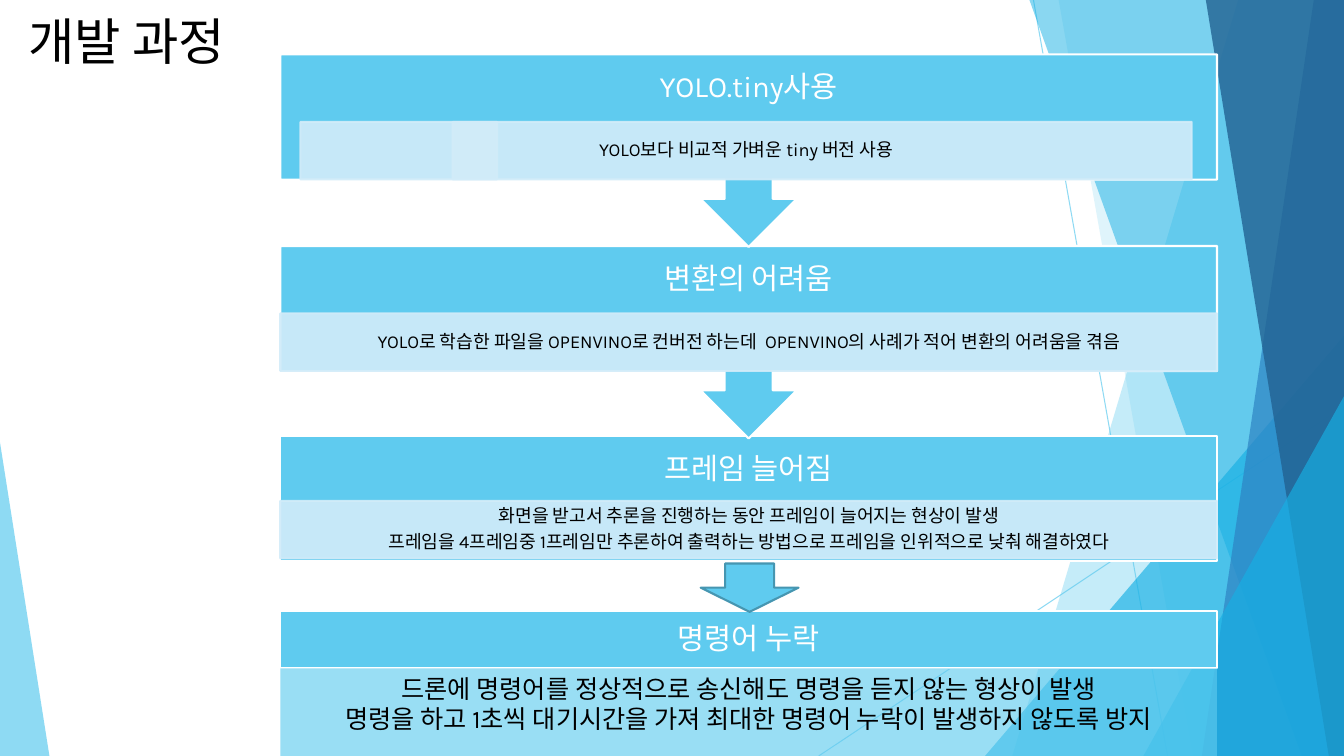
from lxml import etree
from pptx import Presentation
from pptx.dml.color import RGBColor
from pptx.enum.shapes import MSO_CONNECTOR, MSO_SHAPE as SHAPE
from pptx.enum.text import MSO_ANCHOR as ANCHOR, PP_ALIGN as ALIGN
from pptx.oxml.ns import qn
from pptx.util import Inches, Pt

COLORS = {
    "sky": "5FCBEF", "cyan": "17B0E4", "blue": "2E83C3", "navy": "226292",
    "pale": "D2ECF9", "edge": "4696B1", "white": "FFFFFF", "black": "000000",
}
W, H = 13.33, 7.5
FLOW_X, FLOW_W = 2.78, 9.29
HEAD_H, DETAIL_H = 0.67, 0.57

STEPS = [  # shape, top, height, heading, detail top, detail side inset, detail lines
    (SHAPE.UP_ARROW_CALLOUT, 0.54, 1.91, "YOLO.tiny사용", 1.21, 0.2,
     ["YOLO보다 비교적 가벼운 tiny 버전 사용"]),
    (SHAPE.UP_ARROW_CALLOUT, 2.44, 1.91, "변환의 어려움", 3.11, 0,
     ["YOLO로 학습한 파일을 OPENVINO로 컨버전 하는데  OPENVINO의 사례가 적어 변환의 어려움을 겪음"]),
    (SHAPE.RECTANGLE, 4.33, 1.24, "프레임 늘어짐", 4.97, 0,
     ["화면을 받고서 추론을 진행하는 동안 프레임이 늘어지는 현상이 발생",
      "프레임을 4프레임중 1프레임만 추론하여 출력하는 방법으로 프레임을 인위적으로 낮춰 해결하였다"]),
]


def set_color(fmt, name, alpha=100):
    """Solid colour for a fill, with optional opacity in percent."""
    fmt.solid()
    fmt.fore_color.rgb = RGBColor.from_string(COLORS[name])
    return alpha


def add_alpha(element, alpha):
    if alpha < 100:
        for clr in element.iter(qn("a:srgbClr")):
            etree.SubElement(clr, qn("a:alpha"), val=str(alpha * 1000))


def paint(sp, fill, alpha=100, line=None):
    sp.shadow.inherit = False
    set_color(sp.fill, fill)
    if line:
        set_color(sp.line.fill, line)
        sp.line.width = Pt(1.5)
    else:
        sp.line.fill.background()
    add_alpha(sp._element.spPr, alpha)
    return sp


def add_block(s, kind, box, fill, alpha=100, line=None):
    sp = s.shapes.add_shape(kind, *map(Inches, box))
    return paint(sp, fill, alpha, line)


def write(tf, lines, size, color="black", font="Karla", align=ALIGN.CENTER,
          anchor=ANCHOR.MIDDLE, inset=(0.1, 0.05), tight=True):
    tf.word_wrap = True
    tf.vertical_anchor = anchor
    tf.margin_left = tf.margin_right = Inches(inset[0])
    tf.margin_top = tf.margin_bottom = Inches(inset[1])
    tf.text = "\n".join(lines)
    for p in tf.paragraphs:
        p.alignment = align
        if tight:
            p.line_spacing = 0.9
            p.space_after = Pt(size * 0.35)
        for r in p.runs:
            r.font.size, r.font.name = Pt(size), font
            r.font.color.rgb = RGBColor.from_string(COLORS[color])


def add_text(s, box, lines, size, **style):
    tf = s.shapes.add_textbox(*map(Inches, box)).text_frame
    write(tf, lines, size, **style)


def add_facets(s, w, h):
    """Layered translucent facets along the slide edges."""
    for x1, y1, x2, y2 in [(10.25, 0, 11.58, h), (w, 4.03, 8.12, h)]:
        line = s.shapes.add_connector(
            MSO_CONNECTOR.STRAIGHT, *map(Inches, (x1, y1, x2, y2)))
        set_color(line.line.fill, "sky")
        line.line.width = Pt(0.75)
        spPr = line._element.spPr
        add_alpha(spPr, 70)
        etree.SubElement(spPr, qn("a:effectLst"))

    def facet(top_x, bottom_x, color, alpha):
        fb = s.shapes.build_freeform(Inches(top_x), 0)
        corners = [(w, 0), (w, h), (bottom_x, h)]
        fb.add_line_segments([(Inches(x), Inches(y)) for x, y in corners])
        paint(fb.convert_to_shape(), color, alpha)

    def wedge(x, y, width, apex, color, alpha):
        box = (x, y, width, h - y)
        sp = add_block(s, SHAPE.ISOSCELES_TRIANGLE, box, color, alpha)
        sp.adjustments[0] = apex

    facet(12.28, 10.04, "sky", 36)
    facet(10.5, 11.83, "sky", 20)
    wedge(9.77, 3.33, w - 9.77, 1, "cyan", 66)
    facet(10.21, 12.91, "cyan", 50)
    facet(13.03, 11.92, "blue", 70)
    facet(11.96, 13.18, "navy", 80)
    wedge(11.34, 3.93, w - 11.34, 1, "cyan", 66)
    wedge(0, 4.39, 0.49, 0, "sky", 70)


def add_step(s, x, w, kind, top, height, heading, detail_top, side, lines):
    """One process step: block, heading and pale detail band."""
    sp = add_block(s, kind, (x, top, w, height), "sky", line="white")
    if kind == SHAPE.UP_ARROW_CALLOUT:
        sp.rotation = 180
    add_text(s, (x, top, w, HEAD_H), [heading], 21, color="white", inset=(0.16, 0.16))
    bands = [(x + side, detail_top, w - 2.25 * side, DETAIL_H)]
    if side:  # small band behind the inset one
        bands.insert(0, (4.49, detail_top, 0.44, DETAIL_H))
    for band in bands:
        add_block(s, SHAPE.RECTANGLE, band, "pale", 90, "pale")
    add_text(s, bands[-1], lines, 13, inset=(0.1, 0.02))


def add_last_step(s, x, y, w):
    """Closing step: heading bar, translucent detail box and outlined arrow."""
    bar = (x, y, w, DETAIL_H)
    add_block(s, SHAPE.RECTANGLE, bar, "sky", line="white")
    add_text(s, bar, ["명령어 누락"], 21, color="white", inset=(0.16, 0.16))
    sp = add_block(s, SHAPE.RECTANGLE, (x, y + DETAIL_H, w, 1.01), "sky", 63)
    write(sp.text_frame,
          ["드론에 명령어를 정상적으로 송신해도 명령을 듣지 않는 형상이 발생",
           "명령을 하고 1초씩 대기시간을 가져 최대한 명령어 누락이 발생하지 않도록 방지"],
          18, anchor=ANCHOR.TOP, tight=False)
    add_block(s, SHAPE.DOWN_ARROW, (x + 4.17, y - 0.47, 0.97, 0.48), "sky", line="edge")


def main():
    prs = Presentation()
    prs.slide_width, prs.slide_height = Inches(W), Inches(H)
    s = prs.slides.add_slide(prs.slide_layouts[6])
    add_facets(s, W, H)
    # Lower steps first, so each arrow tip lies over the next block
    for step in reversed(STEPS):
        add_step(s, FLOW_X, FLOW_W, *step)
    add_text(s, (0.18, 0.05, 4.41, 0.71), ["개발 과정"], 36, font="Noto Sans CJK KR",
             align=ALIGN.LEFT, anchor=ANCHOR.TOP, tight=False)
    add_last_step(s, FLOW_X, 6.06, FLOW_W)
    prs.save("out.pptx")


if __name__ == "__main__":
    main()
